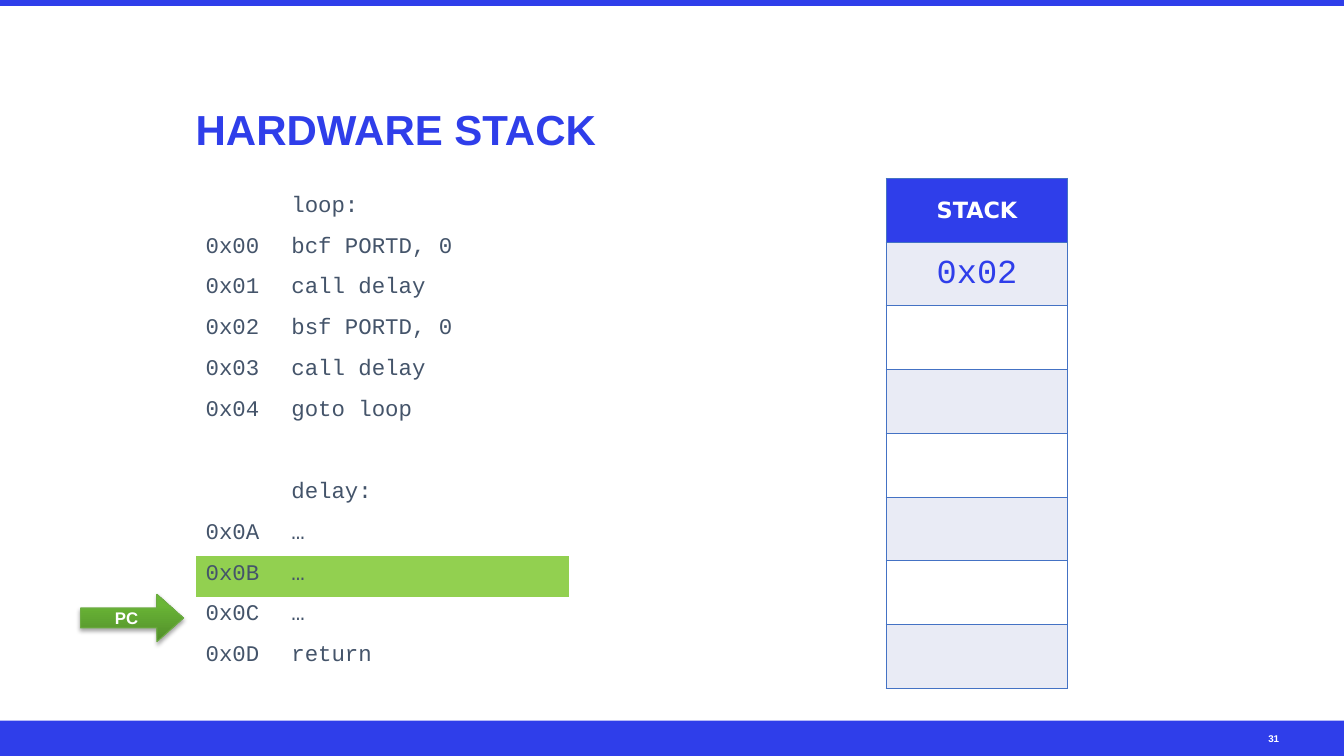
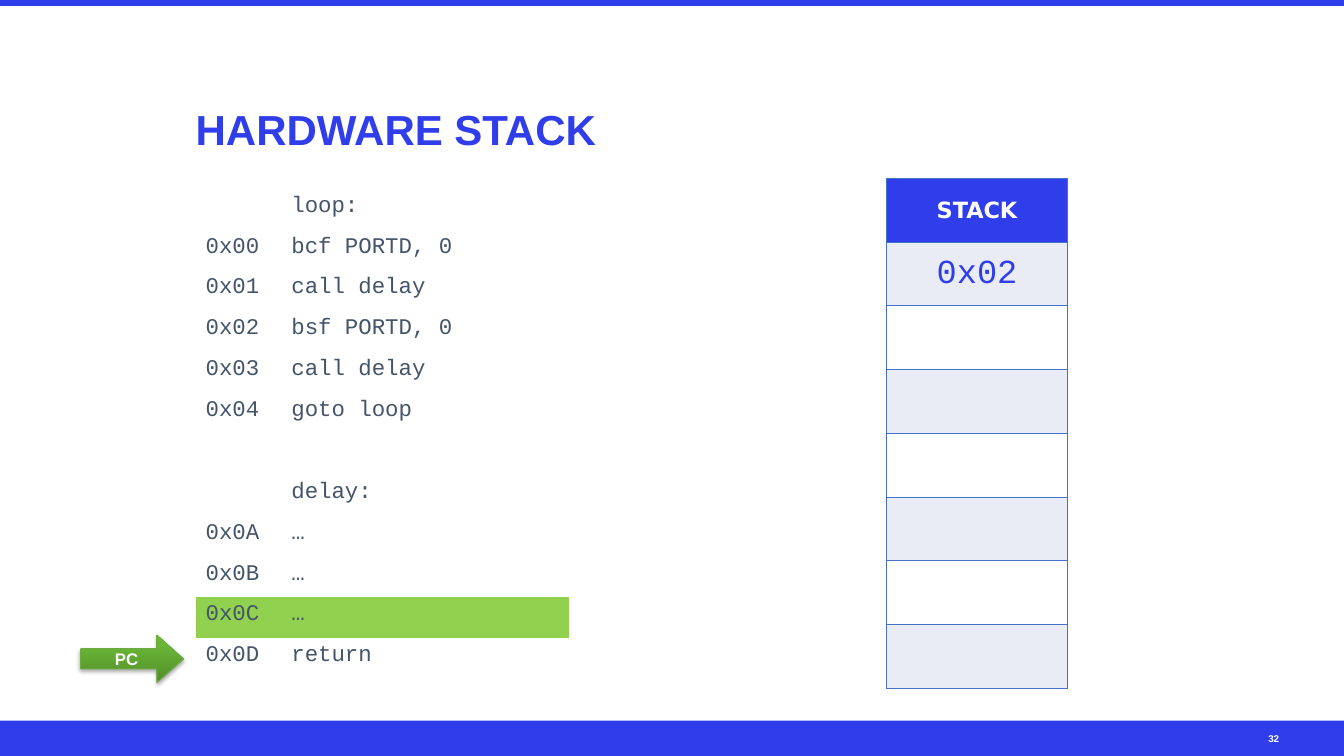
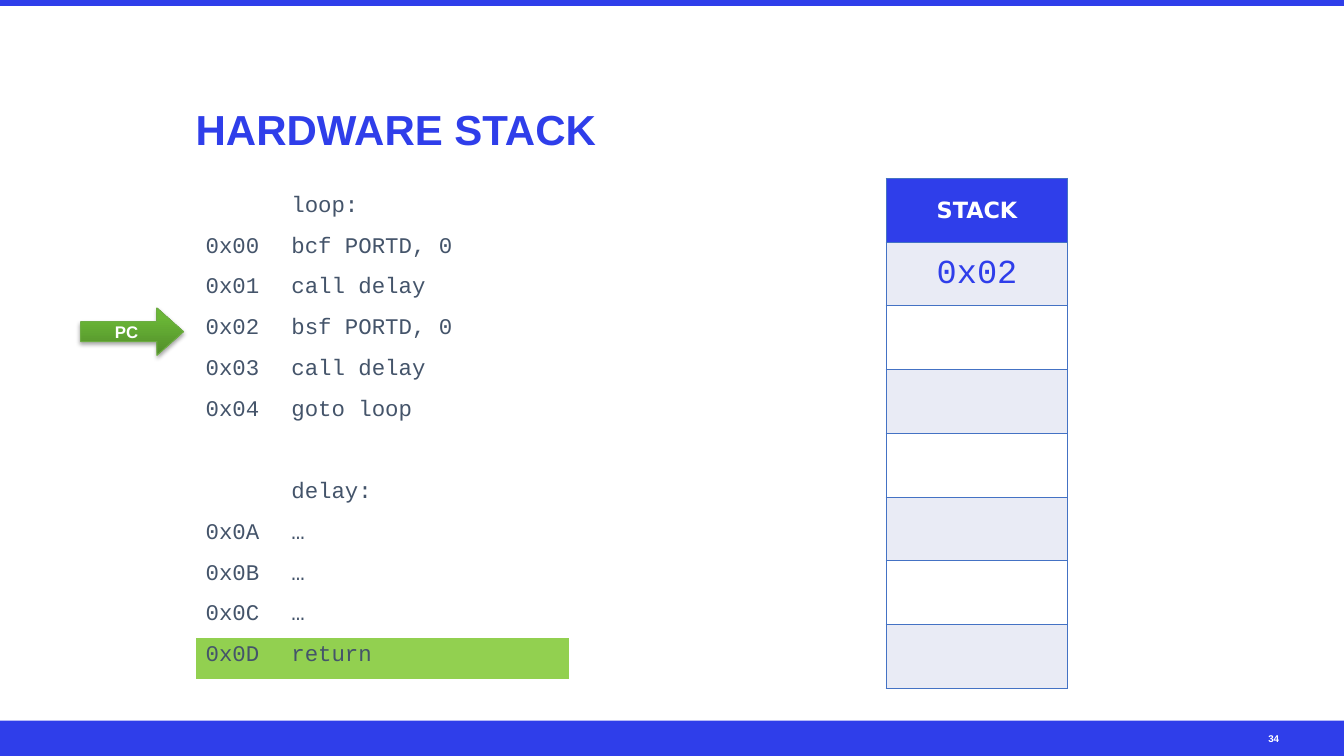
from dataclasses import dataclass

from lxml import etree
from pptx import Presentation
from pptx.dml.color import RGBColor
from pptx.enum.shapes import MSO_SHAPE as Preset
from pptx.enum.text import MSO_ANCHOR as Anchor, PP_ALIGN as Align
from pptx.oxml import parse_xml
from pptx.oxml.ns import nsdecls, qn
from pptx.util import Inches, Pt

# Content
TITLE = "HARDWARE STACK"
CODE = [
    ("", "loop:"),
    ("0x00", "bcf PORTD, 0"),
    ("0x01", "call delay"),
    ("0x02", "bsf PORTD, 0"),
    ("0x03", "call delay"),
    ("0x04", "goto loop"),
    ("", ""),
    ("", "delay:"),
    ("0x0A", "…"),
    ("0x0B", "…"),
    ("0x0C", "…"),
    ("0x0D", "return"),
]
STACK = ["STACK", "0x02", "", "", "", "", "", ""]
STEPS = [
    {"number": "31", "running": "0x0B", "counter": "0x0C"},
    {"number": "32", "running": "0x0C", "counter": "0x0D"},
    {"number": "34", "running": "0x0D", "counter": "0x02"},
]


# Theme
@dataclass(frozen=True)
class Theme:
    blue: str = "2F3EEA"
    white: str = "FFFFFF"
    band: str = "E9EBF5"
    grid: str = "4472C4"
    code: str = "44546A"
    highlight: str = "92D050"
    arrow_line: str = "6DAC43"
    arrow_stops: tuple = ((0, "518D2A"), (80, "6AB636"), (100, "6ABA34"))
    sans: str = "Arial"
    mono: str = "Courier New"
    header: str = "DejaVu Sans"
    title_size: int = 30
    value_size: int = 24
    body_size: int = 16
    arrow_size: int = 12
    number_size: int = 7


THEME = Theme()
NO_TABLE_STYLE = "{2D5ABB26-0587-4C30-8999-92F81FD0307C}"

# Layout, in inches
WIDTH, HEIGHT = 13.33, 7.5
FOOTER_HEIGHT = 0.35
FOOTER_TOP = HEIGHT - FOOTER_HEIGHT
CODE_LEFT, CODE_TOP, CODE_HEIGHT = 1.94, 1.87, 4.87
CODE_COLUMNS = [0.85, 2.85]
STACK_LEFT, STACK_TOP, STACK_HEIGHT = 8.79, 1.77, 5.06
STACK_COLUMNS = [1.8]
ARROW_LEFT, ARROW_WIDTH, ARROW_HEIGHT = 0.8, 1.02, 0.47


def box(*lengths):
    return [Inches(length) for length in lengths]


def write(text_frame, text, size, color, font=THEME.sans, bold=False, align=Align.LEFT):
    paragraph = text_frame.paragraphs[0]
    paragraph.text = text
    paragraph.alignment = align
    for style in [paragraph.font] + [run.font for run in paragraph.runs]:
        style.name, style.size, style.bold = font, Pt(size), bold
        style.color.rgb = RGBColor.from_string(color)


def paint(target, color):
    target.fill.solid()
    target.fill.fore_color.rgb = RGBColor.from_string(color)


def add_band(slide, top, height):
    band = slide.shapes.add_shape(Preset.RECTANGLE, *box(0, top, WIDTH, height))
    band.shadow.inherit = False
    paint(band, THEME.blue)
    band.line.fill.background()


def add_label(slide, place, text, size, color, anchor):
    frame = slide.shapes.add_textbox(*box(*place)).text_frame
    frame.word_wrap = True
    frame.vertical_anchor = anchor
    frame.margin_left = frame.margin_right = frame.margin_top = frame.margin_bottom = 0
    write(frame, text, size, color, bold=True)


def add_plain_table(slide, left, top, height, columns, row_count):
    frame = slide.shapes.add_table(
        row_count, len(columns), *box(left, top, sum(columns), height))
    table = frame.table
    table.first_row = table.horz_banding = False
    frame.element.xpath(".//a:tableStyleId")[0].text = NO_TABLE_STYLE
    for column, width in zip(table.columns, columns):
        column.width = Inches(width)
    for row in table.rows:
        row.height = Inches(height / row_count)
    return frame


def add_borders(frame, color):
    for properties in frame.element.iter(qn("a:tcPr")):
        for index, side in enumerate("LRTB"):
            properties.insert(index, parse_xml(
                f'<a:ln{side} {nsdecls("a")} w="{Pt(1)}"><a:solidFill>'
                f'<a:srgbClr val="{color}"/></a:solidFill></a:ln{side}>'))


def add_stack(slide):
    frame = add_plain_table(
        slide, STACK_LEFT, STACK_TOP, STACK_HEIGHT, STACK_COLUMNS, len(STACK))
    for index, text in enumerate(STACK):
        cell = frame.table.cell(index, 0)
        cell.vertical_anchor = Anchor.MIDDLE
        if index == 0:
            paint(cell, THEME.blue)
            write(cell.text_frame, text, THEME.body_size, THEME.white,
                  THEME.header, True, Align.CENTER)
        else:
            paint(cell, THEME.band if index % 2 else THEME.white)
            write(cell.text_frame, text, THEME.value_size, THEME.blue,
                  THEME.mono, align=Align.CENTER)
    add_borders(frame, THEME.grid)


def add_code(slide, running):
    table = add_plain_table(
        slide, CODE_LEFT, CODE_TOP, CODE_HEIGHT, CODE_COLUMNS, len(CODE)).table
    for row, line in enumerate(CODE):
        for column, text in enumerate(line):
            cell = table.cell(row, column)
            write(cell.text_frame, text, THEME.body_size, THEME.code, THEME.mono)
            if line[0] == running:
                paint(cell, THEME.highlight)


def style_arrow(arrow):
    # Three-stop gradient and soft shadow
    properties = arrow.element.spPr
    arrow.fill.gradient()
    gradient = properties.find(qn("a:gradFill"))
    stops = "".join(
        f'<a:gs pos="{position * 1000}"><a:srgbClr val="{color}"/></a:gs>'
        for position, color in THEME.arrow_stops)
    properties.replace(gradient, parse_xml(
        f'<a:gradFill {nsdecls("a")} rotWithShape="1"><a:gsLst>{stops}</a:gsLst>'
        '<a:lin ang="16200000" scaled="0"/></a:gradFill>'))
    arrow.line.color.rgb = RGBColor.from_string(THEME.arrow_line)
    arrow.line.width = Pt(0.75)
    arrow.shadow.inherit = False
    shadow = etree.SubElement(
        properties.find(qn("a:effectLst")), qn("a:outerShdw"),
        blurRad=str(Pt(3.1)), dist=str(Pt(1.8)), dir="5400000", rotWithShape="0")
    color = etree.SubElement(shadow, qn("a:srgbClr"), val="000000")
    etree.SubElement(color, qn("a:alpha"), val="35000")


def add_counter(slide, address):
    # The arrow is centred on the row of its address
    row = [line[0] for line in CODE].index(address)
    middle = CODE_TOP + (row + 0.5) * CODE_HEIGHT / len(CODE)
    arrow = slide.shapes.add_shape(Preset.RIGHT_ARROW, *box(
        ARROW_LEFT, middle - ARROW_HEIGHT / 2, ARROW_WIDTH, ARROW_HEIGHT))
    arrow.adjustments[0], arrow.adjustments[1] = 0.42, 0.56
    style_arrow(arrow)
    frame = arrow.text_frame
    frame.vertical_anchor = Anchor.MIDDLE
    write(frame, "PC", THEME.arrow_size, THEME.white, bold=True, align=Align.CENTER)
    frame.paragraphs[0].space_before = Pt(4.3)


def add_step(presentation, step):
    slide = presentation.slides.add_slide(presentation.slide_layouts[6])
    add_band(slide, FOOTER_TOP, FOOTER_HEIGHT)
    add_band(slide, 0, 0.06)
    add_label(slide, (CODE_LEFT, 0.47, 10.18, 1.06), TITLE,
              THEME.title_size, THEME.blue, Anchor.BOTTOM)
    add_stack(slide)
    add_label(slide, (12.58, FOOTER_TOP, 0.47, FOOTER_HEIGHT), step["number"],
              THEME.number_size, THEME.white, Anchor.MIDDLE)
    add_code(slide, step["running"])
    add_counter(slide, step["counter"])


def main():
    presentation = Presentation()
    presentation.slide_width, presentation.slide_height = box(WIDTH, HEIGHT)
    for step in STEPS:
        add_step(presentation, step)
    presentation.save("out.pptx")


if __name__ == "__main__":
    main()
